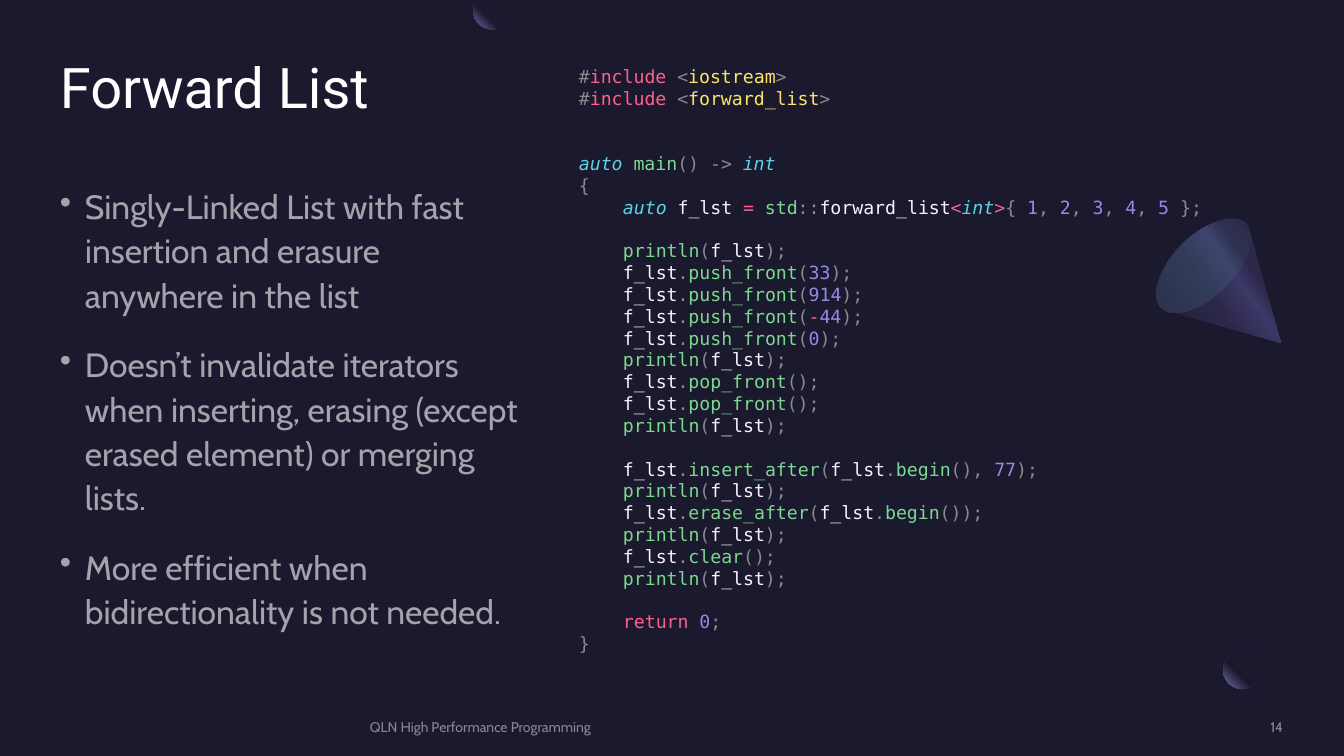
from collections import namedtuple
from itertools import groupby
from math import cos, radians, sin

from lxml.etree import SubElement
from pptx import Presentation
from pptx.dml.color import RGBColor
from pptx.enum.shapes import MSO_SHAPE
from pptx.enum.text import MSO_ANCHOR, PP_ALIGN
from pptx.oxml.ns import qn
from pptx.util import Pt

EMU_PER_PX = 914400 / 100.8
Box = namedtuple("Box", "x y w h")


class Theme:
    back, white, muted = "1B192E", "FFFFFF", "A6A6A6"
    title = {"name": "Roboto", "size": Pt(40)}
    body = {"name": "Cabin", "size": Pt(24)}
    footer = {"name": "Cabin", "size": Pt(10)}
    code = {"name": "DejaVu Sans Mono", "size": Pt(13)}
    code_line = 15.6
    ball = [(60, back, 100), (100, "7771B2", 100)]
    cone = [(30, "2C284A", 100), (40, "3C3867", 100), (60, "2C284A", 100), (100, back, 100)]
    cone_base = [(0, "454075", 33), (100, "5BEFC1", 0)]
    syntax = {"mark": "8B888F", "keyword": "FC618D", "header": "FCE566", "type": "5AD4E6",
              "call": "7BD88F", "number": "948AE3", "plain": "F7F1FF"}


TITLE = "Forward List"
POINTS = [
    "Singly-Linked List with fast insertion and erasure anywhere in the list",
    "Doesn’t invalidate iterators when inserting, erasing (except erased element) or merging lists.",
    "More efficient when bidirectionality is not needed.",
]
# Each line of code: blank lines above, indent level, text
CODE = [
    (0, 0, "#include <iostream>"),
    (0, 0, "#include <forward_list>"),
    (2, 0, "auto main() -> int"),
    (0, 0, "{"),
    (0, 1, "auto f_lst = std::forward_list<int>{ 1, 2, 3, 4, 5 };"),
    (1, 1, "println(f_lst);"),
    *[(0, 1, f"f_lst.push_front({n});") for n in (33, 914, -44, 0)],
    (0, 1, "println(f_lst);"),
    *[(0, 1, "f_lst.pop_front();")] * 2,
    (0, 1, "println(f_lst);"),
    (1, 1, "f_lst.insert_after(f_lst.begin(), 77);"),
    (0, 1, "println(f_lst);"),
    (0, 1, "f_lst.erase_after(f_lst.begin());"),
    (0, 1, "println(f_lst);"),
    (0, 1, "f_lst.clear();"),
    (0, 1, "println(f_lst);"),
    (1, 1, "return 0;"),
    (0, 0, "}"),
]


def px(n):
    return round(n * EMU_PER_PX)


def set_format(obj, values):
    for name, value in values.items():
        setattr(obj, name, value)


def set_alpha(element, percent):
    color = element.find(".//" + qn("a:srgbClr"))
    SubElement(color, qn("a:alpha"), val=str(percent * 1000))


def add_text(slide, box, inset=0, anchor=MSO_ANCHOR.TOP):
    tf = slide.shapes.add_textbox(*map(px, box)).text_frame
    margins = {f"margin_{side}": px(inset) for side in ("left", "right")}
    margins.update({f"margin_{side}": px(inset // 2) for side in ("top", "bottom")})
    set_format(tf, {"word_wrap": True, "vertical_anchor": anchor, **margins})
    return tf


def add_run(p, text, font, color, alpha=100):
    r = p.add_run()
    r.text = text
    set_format(r.font, font)
    r.font.color.rgb = RGBColor.from_string(color)
    if alpha < 100:
        set_alpha(r.font._element, alpha)


def paragraphs(tf, items):
    for i, item in enumerate(items):
        yield (tf.add_paragraph() if i else tf.paragraphs[0]), item


def plain(sp):
    sp.shadow.inherit = False
    sp.line.fill.background()
    return sp


def add_preset(slide, kind, box):
    return plain(slide.shapes.add_shape(kind, *map(px, box)))


def add_outline(slide, points):
    points = [(px(x), px(y)) for x, y in points]
    builder = slide.shapes.build_freeform(*points[0], scale=1.0)
    builder.add_line_segments(points[1:], close=True)
    return plain(builder.convert_to_shape())


def fill_gradient(sp, stops, angle=None):
    """Linear at the given angle, or else circular from the top right corner."""
    sp.fill.gradient()
    grad = sp._element.spPr.find(qn("a:gradFill"))
    grad.clear()
    grad.set("rotWithShape", "1")
    stop_list = SubElement(grad, qn("a:gsLst"))
    for position, color, alpha in stops:
        stop = SubElement(stop_list, qn("a:gs"), pos=str(position * 1000))
        SubElement(stop, qn("a:srgbClr"), val=color)
        if alpha < 100:
            set_alpha(stop, alpha)
    if angle is None:
        circle = SubElement(grad, qn("a:path"), path="circle")
        SubElement(circle, qn("a:fillToRect"), l="100000", b="100000")
    else:
        SubElement(grad, qn("a:lin"), ang=str(angle * 60000), scaled="0")


def bezier(a, b, c, d, steps=12):
    for i in range(1, steps + 1):
        t = i / steps
        u = 1 - t
        yield tuple(u**3 * p + 3 * u * u * t * q + 3 * u * t * t * r + t**3 * s
                    for p, q, r, s in zip(a, b, c, d))


def corner_ball(slide, box):
    ball = add_preset(slide, MSO_SHAPE.OVAL, box)
    fill_gradient(ball, Theme.ball)
    veil = add_preset(slide, MSO_SHAPE.RECTANGLE, Box(box.x + box.w, box.y - 8, 41, 39))
    veil.fill.solid()
    veil.fill.fore_color.rgb = RGBColor.from_string(Theme.back)
    set_alpha(veil._element.spPr, 80)


def cone(slide, box):
    # Body: apex, then the rounded rim
    points = [(125, 137), (11, 104), (10, 104)]
    for curve in (((9, 103), (8, 102), (5, 101)), ((-6, 89), (3, 61), (26, 38)),
                  ((50, 15), (80, 6), (90, 17)), ((91, 18), (92, 20), (93, 22))):
        points += bezier(points[-1], *curve)
    body = add_outline(slide, [(box.x + x, box.y + y) for x, y in points])
    fill_gradient(body, Theme.cone, 145)
    # Base
    base = add_preset(slide, MSO_SHAPE.OVAL, Box(box.x + 18, box.y, 59, 119))
    base.rotation = 225
    fill_gradient(base, Theme.cone_base, 90)


def cut_ball(slide, box):
    """A ball whose upper quarter lies above the box."""
    r = box.w / 2
    arc = [(box.x + r + r * cos(radians(a)), box.y + r / 2 + r * sin(radians(a)))
           for a in range(-30, 211, 5)]
    fill_gradient(add_outline(slide, arc), Theme.ball)


def title(slide, box):
    p = add_text(slide, box).paragraphs[0]
    p.line_spacing = 0.9
    add_run(p, TITLE, Theme.title, Theme.white)


def bullet_list(slide, box):
    for p, text in paragraphs(add_text(slide, box), POINTS):
        set_format(p, {"line_spacing": 1.1, "space_before": Pt(10), "space_after": Pt(8)})
        add_run(p, text, Theme.body, Theme.white, 60)
        pPr = p._p.get_or_add_pPr()
        pPr.set("marL", str(px(25)))
        pPr.set("indent", str(-px(25)))
        SubElement(pPr, qn("a:buChar"), char="•")


def token_kind(token, line):
    if token.isdigit():
        return "number"
    if token in ("include", "return"):
        return "keyword"
    if token in ("auto", "int"):
        return "type"
    if line.startswith("#"):
        return "header" if token[0].isalpha() else "mark"
    if token in "=<>-" and "->" not in line:
        return "keyword"
    if token == "std" or token + "(" in line and token[0].isalpha():
        return "call"
    return "plain" if token[0].isalpha() else "mark"


def code_runs(line):
    tokens = []
    for is_word, chars in groupby(line, lambda ch: ch.isalnum() or ch == "_"):
        tokens += ["".join(chars)] if is_word else chars
    for kind, group in groupby(tokens, lambda token: token_kind(token, line)):
        yield kind, "".join(group)


def code_listing(slide, box):
    for p, (gap, level, line) in paragraphs(add_text(slide, box, inset=10), CODE):
        set_format(p, {"line_spacing": Pt(Theme.code_line),
                       "space_before": Pt(gap * Theme.code_line)})
        p._p.get_or_add_pPr().set("marL", str(px(44 * level)))
        for kind, text in code_runs(line):
            add_run(p, text, {**Theme.code, "italic": kind == "type"}, Theme.syntax[kind])


def footer(slide, box):
    for x, w, text, align in ((0, 704, "QLN High Performance Programming", PP_ALIGN.LEFT),
                              (727, 186, "14", PP_ALIGN.RIGHT)):
        tf = add_text(slide, Box(box.x + x, box.y, w, box.h), anchor=MSO_ANCHOR.MIDDLE)
        tf.paragraphs[0].alignment = align
        add_run(tf.paragraphs[0], text, Theme.footer, Theme.muted, 80)


def main():
    prs = Presentation()
    set_format(prs, {"slide_width": px(1344), "slide_height": px(756)})
    slide = prs.slides.add_slide(prs.slide_layouts[6])
    slide.background.fill.solid()
    slide.background.fill.fore_color.rgb = RGBColor.from_string(Theme.back)
    # Decoration
    corner_ball(slide, Box(1223, 650, 39, 39))
    cone(slide, Box(1156, 206, 125, 137))
    # Text column
    title(slide, Box(60, 60, 469, 86))
    bullet_list(slide, Box(60, 182, 462, 473))
    footer(slide, Box(370, 718, 913, 17))
    # Code column
    cut_ball(slide, Box(473, 0, 39, 30))
    code_listing(slide, Box(569, 60, 716, 628))
    prs.save("out.pptx")


if __name__ == "__main__":
    main()
